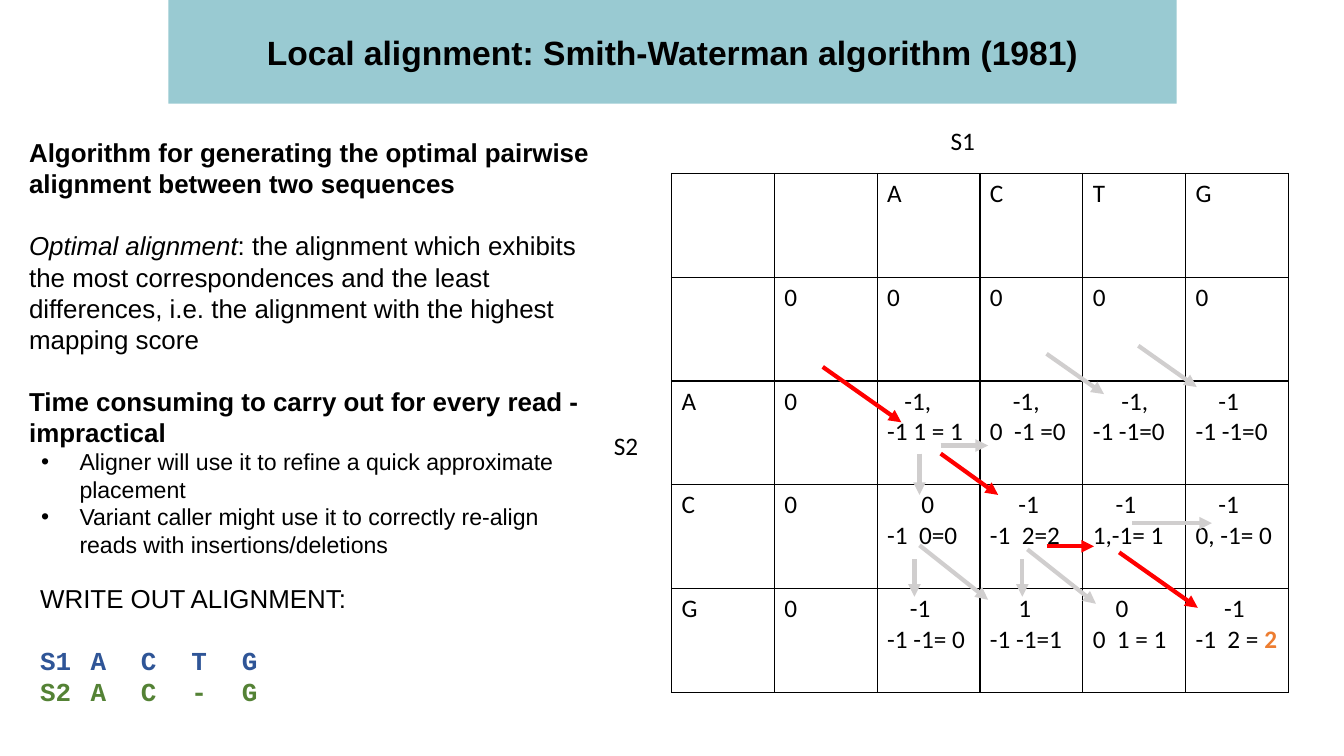
from dataclasses import dataclass, field

from lxml.etree import SubElement as Sub
from pptx import Presentation
from pptx.dml.color import RGBColor
from pptx.enum.shapes import MSO_CONNECTOR as Link, MSO_SHAPE as Form
from pptx.enum.text import MSO_ANCHOR as Anchor, MSO_AUTO_SIZE as Fit, PP_ALIGN as Align
from pptx.oxml.ns import qn
from pptx.util import Inches, Pt

BLACK = RGBColor(0x00, 0x00, 0x00)
TEAL = RGBColor(0x99, 0xCA, 0xD2)
BLUE = RGBColor(0x2F, 0x55, 0x97)
GREEN = RGBColor(0x54, 0x82, 0x35)
ORANGE = RGBColor(0xED, 0x7D, 0x31)
RED = RGBColor(0xFF, 0x00, 0x00)
GREY = RGBColor(0xD0, 0xCE, 0xCE)

TITLE = {"name": "Arial", "size": Pt(24), "bold": True}
BODY = {"name": "Arial", "size": Pt(18.5)}
STRONG = BODY | {"bold": True}
SLANT = BODY | {"italic": True}
POINT = {"name": "Arial", "size": Pt(16.5)}
CODE = {"name": "Courier New", "size": Pt(18.5), "bold": True}
GRID = {"name": "Calibri", "size": Pt(18)}
SPACE = Pt(4.07)
BLANK = Pt(22)


@dataclass
class Run:
    text: str
    style: dict
    color: RGBColor = BLACK


@dataclass
class Line:
    runs: list[Run]
    look: dict = field(default_factory=dict)
    left: int = 0
    dot: bool = False


@dataclass
class Arrow:
    start: tuple[float, float]
    end: tuple[float, float]
    color: RGBColor = GREY


@dataclass
class Score:
    lead: int
    top: str
    base: str
    best: str = ""


def set_all(target, values: dict) -> None:
    for name, value in values.items():
        setattr(target, name, value)


def write(frame, lines: list[Line]) -> None:
    for i, line in enumerate(lines):
        para = frame.add_paragraph() if i else frame.paragraphs[0]
        props = para._p.get_or_add_pPr()
        if line.left:
            props.set("marL", str(line.left))
            props.set("indent", "0")
        if line.dot:
            props.set("indent", str(Inches(-0.38)))
            tint = Sub(props, qn("a:buClr"))
            Sub(tint, qn("a:srgbClr"), val=str(BLACK))
            Sub(props, qn("a:buFont"), typeface="Arial")
            Sub(props, qn("a:buChar"), char="•")
        set_all(para, line.look)
        for item in line.runs:
            run = para.add_run()
            run.text = item.text
            set_all(run.font, item.style)
            run.font.color.rgb = item.color


def add_text(shapes, box: tuple, lines: list[Line], fit=Fit.NONE) -> None:
    frame = shapes.add_textbox(*map(Inches, box)).text_frame
    set_all(frame, {"word_wrap": True, "auto_size": fit})
    write(frame, lines)


def add_title(shapes) -> None:
    bar = shapes.add_shape(Form.RECTANGLE, *map(Inches, (1.67, 0, 10, 1.03)))
    bar.shadow.inherit = False
    bar.fill.solid()
    bar.fill.fore_color.rgb = TEAL
    bar.line.fill.background()
    bar.text_frame.vertical_anchor = Anchor.MIDDLE
    text = "Local alignment: Smith-Waterman algorithm (1981)"
    write(bar.text_frame, [Line([Run(text, TITLE)], {"alignment": Align.CENTER})])


def frame_cell(cell) -> None:
    props = cell._tc.get_or_add_tcPr()
    for side in "LRTB":
        edge = Sub(props, qn(f"a:ln{side}"), w=str(Pt(1)))
        Sub(Sub(edge, qn("a:solidFill")), qn("a:srgbClr"), val=str(BLACK))
    cell.fill.background()


def plain(text: str) -> list[Line]:
    return [Line([Run(text, GRID)])]


def add_grid(shapes) -> None:
    heads, sides = "  ACTG", "  ACG"
    rows, cols = len(sides), len(heads)
    box = (6.66, 1.72, 1.02 * cols, 1.03 * rows)
    table = shapes.add_table(rows, cols, *map(Inches, box)).table
    set_all(table, {"first_row": False, "horz_banding": False})
    for r in range(rows):
        for c in range(cols):
            cell = table.cell(r, c)
            frame_cell(cell)
            if r > 1 and c > 1:
                score = SCORES[r - 2][c - 2]
                runs = [Run(score.base, GRID)]
                if score.best:
                    runs.append(Run(score.best, GRID | {"bold": True}, ORANGE))
                top = Line([Run(score.top, GRID)], left=int(score.lead * SPACE))
                write(cell.text_frame, [top, Line(runs)])
            else:
                label = heads[c] if r == 0 else sides[r] if c == 0 else "0"
                if label.strip() and (r or c > 1):
                    write(cell.text_frame, plain(label))


def add_arrow(shapes, arrow: Arrow) -> None:
    ends = map(Inches, arrow.start + arrow.end)
    link = shapes.add_connector(Link.STRAIGHT, *ends)
    link.line.color.rgb = arrow.color
    link.line.width = Pt(3)
    Sub(link.line._get_or_add_ln(), qn("a:tailEnd"), type="triangle")
    Sub(link._element.spPr, qn("a:effectLst"))


SCORES = [
    [Score(3, "-1,", "-1 1 = 1"), Score(4, "-1,", "0  -1 =0"),
     Score(5, "-1,", "-1 -1=0"), Score(4, "-1", "-1 -1=0")],
    [Score(6, "0", "-1  0=0"), Score(5, "-1", "-1  2=2"),
     Score(4, "-1", "1,-1= 1"), Score(4, "-1", "0, -1= 0")],
    [Score(4, "-1", "-1 -1= 0"), Score(5, "1", "-1 -1=1"),
     Score(4, "0", "0  1 = 1"), Score(5, "-1", "-1  2 = ", "2")],
]
ARROWS = [
    Arrow((8.16, 3.64), (8.94, 4.19), RED),
    Arrow((9.33, 4.5), (9.9, 4.91), RED),
    Arrow((9.12, 4.5), (9.12, 4.91)),
    Arrow((9.33, 4.42), (9.8, 4.42)),
    Arrow((9.12, 5.41), (9.8, 5.95)),
    Arrow((10.19, 5.45), (10.87, 5.99)),
    Arrow((11.1, 5.48), (11.88, 6.03), RED),
    Arrow((11.23, 5.19), (12.02, 5.19)),
    Arrow((10.38, 5.42), (10.85, 5.42), RED),
    Arrow((9.07, 5.55), (9.07, 5.92)),
    Arrow((11.29, 3.43), (11.87, 3.84)),
    Arrow((10.14, 5.55), (10.14, 5.92)),
    Arrow((10.38, 3.51), (10.95, 3.91)),
]
APART = {"space_before": BLANK}
RESULT = [
    Line([Run("WRITE OUT ALIGNMENT:", BODY)]),
    Line([Run("S1\tA\tC\tT \tG", CODE, BLUE)], APART),
    Line([Run("S2\tA\tC\t-\tG", CODE, GREEN)]),
]
POINTS = [
    "Aligner will use it to refine a quick approximate placement",
    "Variant caller might use it to correctly re-align reads with insertions/deletions",
]
NOTES = [
    Line([Run("Algorithm for generating the optimal pairwise alignment between two sequences", STRONG)]),
    Line([Run("Optimal alignment", SLANT),
          Run(": the alignment which exhibits the most correspondences and the least "
              "differences, i.e. the alignment with the highest mapping score", BODY)], APART),
    Line([Run("Time consuming to carry out for every read - impractical", STRONG)], APART),
    *(Line([Run(text, POINT)], left=Inches(0.5), dot=True) for text in POINTS),
]


def main() -> None:
    deck = Presentation()
    set_all(deck, {"slide_width": Inches(13.33), "slide_height": Inches(7.5)})
    shapes = deck.slides.add_slide(deck.slide_layouts[6]).shapes
    add_title(shapes)
    add_text(shapes, (0.3, 5.73, 6.43, 1.67), RESULT)
    add_grid(shapes)
    for arrow in ARROWS:
        add_arrow(shapes, arrow)
    add_text(shapes, (9.33, 1.19, 0.72, 0.4), plain("S1"), Fit.SHAPE_TO_FIT_TEXT)
    add_text(shapes, (5.99, 4.22, 0.72, 0.4), plain("S2"), Fit.SHAPE_TO_FIT_TEXT)
    add_text(shapes, (0.19, 1.31, 5.79, 2.2), NOTES)
    deck.save("out.pptx")


if __name__ == "__main__":
    main()
